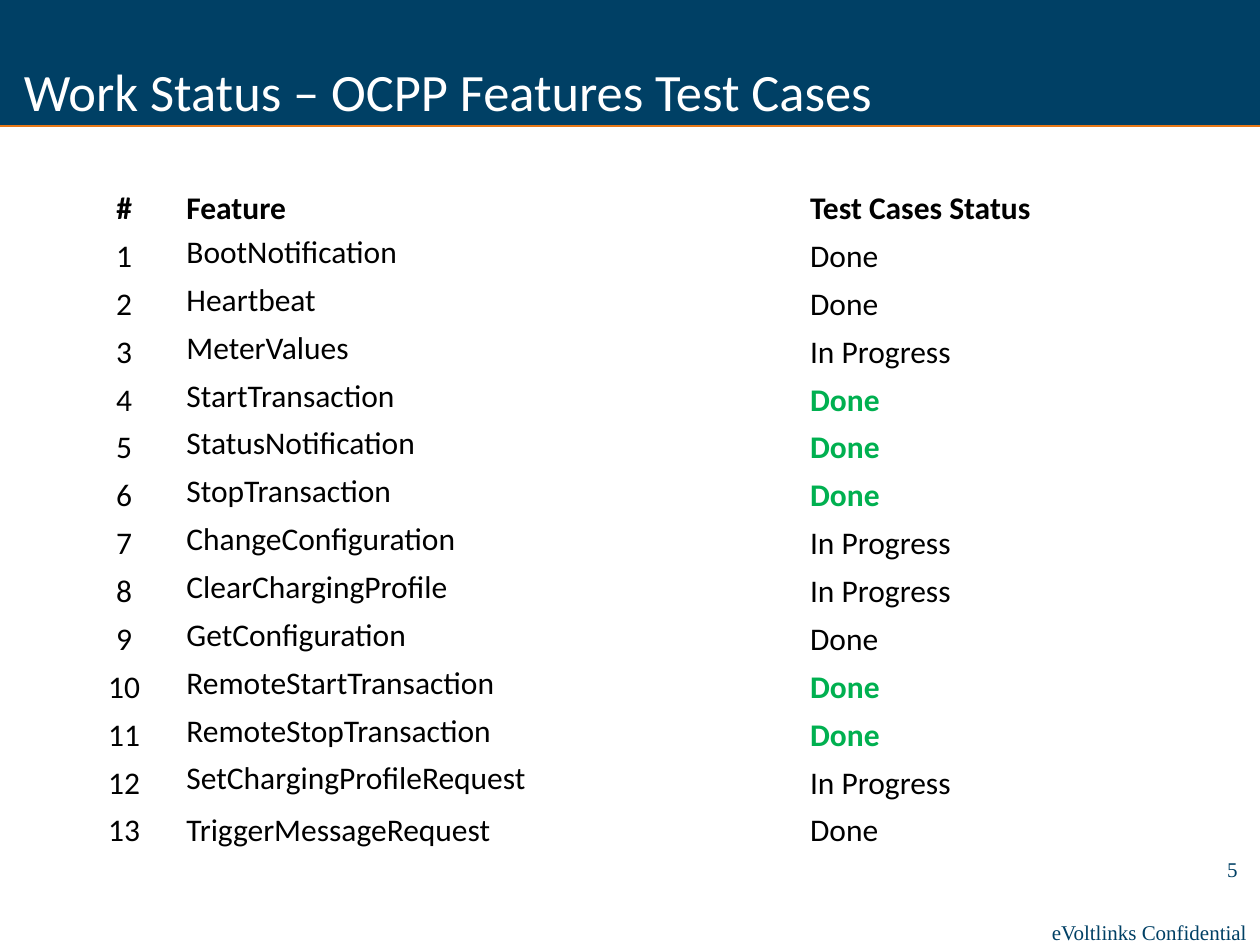
from dataclasses import dataclass

from lxml.etree import SubElement
from pptx import Presentation
from pptx.dml.color import RGBColor
from pptx.enum.shapes import MSO_CONNECTOR, MSO_SHAPE
from pptx.enum.text import MSO_ANCHOR, PP_ALIGN
from pptx.oxml.ns import qn
from pptx.util import Inches, Pt

TITLE = "Work Status – OCPP Features Test Cases"
FOOTER = "eVoltlinks Confidential"
PAGE_NUMBER = "5"
HEADINGS = ("#", "Feature", "Test Cases Status")
FEATURES = [
    ("BootNotification", "Done", False),
    ("Heartbeat", "Done", False),
    ("MeterValues", "In Progress", False),
    ("StartTransaction", "Done", True),
    ("StatusNotification", "Done", True),
    ("StopTransaction", "Done", True),
    ("ChangeConfiguration", "In Progress", False),
    ("ClearChargingProfile", "In Progress", False),
    ("GetConfiguration", "Done", False),
    ("RemoteStartTransaction", "Done", True),
    ("RemoteStopTransaction", "Done", True),
    ("SetChargingProfileRequest", "In Progress", False),
    ("TriggerMessageRequest", "Done", False),
]
COLUMN_WIDTHS = (0.97, 4.95, 3.16)
HEADER_HEIGHT, ROW_HEIGHT = 0.56, 0.38


@dataclass(frozen=True)
class Theme:
    navy: RGBColor = RGBColor(0x00, 0x40, 0x65)
    orange: RGBColor = RGBColor(0xE7, 0x78, 0x17)
    white: RGBColor = RGBColor(0xFF, 0xFF, 0xFF)
    black: RGBColor = RGBColor(0x00, 0x00, 0x00)
    green: RGBColor = RGBColor(0x00, 0xB0, 0x50)
    body_font: str = "Calibri"
    footer_font: str = "Times New Roman"
    title_size: int = 30
    table_size: int = 18
    footer_size: int = 12


theme = Theme()


def write(paragraph, text, font, size, color, bold=False, align=PP_ALIGN.LEFT):
    paragraph.alignment = align
    run = paragraph.add_run()
    run.text = text
    run.font.name = font
    run.font.size = Pt(size)
    run.font.color.rgb = color
    run.font.bold = bold


def add_text(box, text, *style, left=0.1, right=0.1, align=PP_ALIGN.LEFT):
    frame = slide.shapes.add_textbox(*map(Inches, box)).text_frame
    frame.word_wrap = True
    frame.margin_left, frame.margin_right = Inches(left), Inches(right)
    write(frame.paragraphs[0], text, *style, align=align)


def fill_cell(cell, text, color, bold, align, anchor):
    cell.fill.solid()
    cell.fill.fore_color.rgb = theme.white
    cell.margin_left = cell.margin_right = cell.margin_top = Inches(0.01)
    cell.margin_bottom = Inches(0)
    cell.vertical_anchor = anchor
    write(cell.text_frame.paragraphs[0], text, theme.body_font,
          theme.table_size, color, bold, align)


presentation = Presentation()
presentation.slide_width, presentation.slide_height = Inches(10), Inches(7.5)
slide = presentation.slides.add_slide(presentation.slide_layouts[6])

banner = slide.shapes.add_shape(
    MSO_SHAPE.RECTANGLE, Inches(0), Inches(0), Inches(10), Inches(1))
banner.shadow.inherit = False
banner.fill.solid()
banner.fill.fore_color.rgb = theme.navy
banner.line.fill.background()

rule = slide.shapes.add_connector(
    MSO_CONNECTOR.STRAIGHT, Inches(0), Inches(1), Inches(10), Inches(1))
rule.line.color.rgb = theme.orange
rule.line.width = Pt(0.75)
SubElement(rule._element.spPr, qn("a:effectLst"))

footer_style = (theme.footer_font, theme.footer_size, theme.navy)
add_text((8.25, 7.25, 1.75, 0.3), FOOTER, *footer_style, right=0)
add_text((9.3, 6.75, 0.62, 0.3), PAGE_NUMBER, *footer_style, align=PP_ALIGN.RIGHT)
add_text((0, 0.42, 9, 0.83), TITLE, theme.body_font, theme.title_size,
         theme.white, left=0.19)

row_heights = [HEADER_HEIGHT] + [ROW_HEIGHT] * len(FEATURES)
table = slide.shapes.add_table(
    len(row_heights), len(COLUMN_WIDTHS), Inches(0.5), Inches(1.25),
    Inches(sum(COLUMN_WIDTHS)), Inches(sum(row_heights))).table
table.horz_banding = False
for column, width in zip(table.columns, COLUMN_WIDTHS):
    column.width = Inches(width)
for row, height in zip(table.rows, row_heights):
    row.height = Inches(height)

aligns = (PP_ALIGN.CENTER, PP_ALIGN.LEFT, PP_ALIGN.LEFT)
for index, (heading, align) in enumerate(zip(HEADINGS, aligns)):
    fill_cell(table.cell(0, index), heading, theme.black, True, align, MSO_ANCHOR.BOTTOM)

for number, (feature, status, highlighted) in enumerate(FEATURES, 1):
    feature_anchor = MSO_ANCHOR.BOTTOM if number == len(FEATURES) else MSO_ANCHOR.MIDDLE
    status_color = theme.green if highlighted else theme.black
    cells = (
        (str(number), theme.black, False, aligns[0], MSO_ANCHOR.BOTTOM),
        (feature, theme.black, False, aligns[1], feature_anchor),
        (status, status_color, highlighted, aligns[2], MSO_ANCHOR.BOTTOM),
    )
    for index, content in enumerate(cells):
        fill_cell(table.cell(number, index), *content)

presentation.save("out.pptx")
